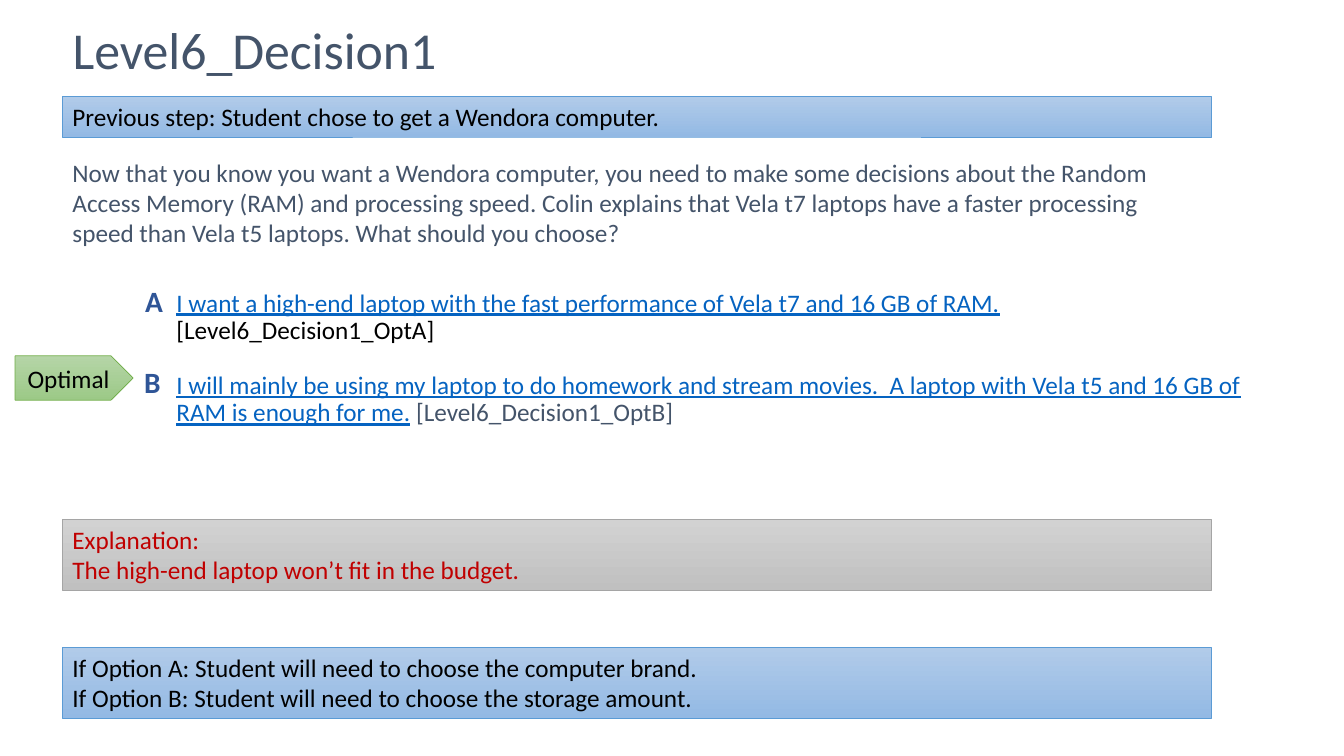
from dataclasses import dataclass

from lxml import etree
from pptx import Presentation
from pptx.dml.color import RGBColor
from pptx.enum.shapes import MSO_SHAPE
from pptx.enum.text import MSO_ANCHOR, MSO_AUTO_SIZE, PP_ALIGN
from pptx.oxml.ns import qn
from pptx.util import Inches, Pt

RECT, TAG = MSO_SHAPE.RECTANGLE, MSO_SHAPE.PENTAGON
TOP, MID = MSO_ANCHOR.TOP, MSO_ANCHOR.MIDDLE
LEFT, MIDDLE = PP_ALIGN.LEFT, PP_ALIGN.CENTER
FIXED = MSO_AUTO_SIZE.NONE


@dataclass(frozen=True)
class Theme:
    font: str = "Calibri"
    title: int = 37
    body: int = 18
    mark: int = 21
    slate: str = "44546A"
    black: str = "000000"
    link: str = "0563C1"
    navy: str = "2F5597"
    red: str = "C00000"
    blue: tuple = ("B1CBE9", "93B9E4", "5B9BD5")
    gray: tuple = ("D2D2D2", "C0C0C0", "A5A5A5")
    green: tuple = ("B5D5A7", "9CC987", "70AD47")


theme = Theme()


def write(shape, paras, size=theme.body, color=theme.black, bold=False,
          align=LEFT, anchor=TOP, line=1.0, gap=0, indent=None):
    """Fill a shape; a paragraph is a string or a list of (text, color) runs."""
    frame = shape.text_frame
    frame.word_wrap = True
    frame.auto_size = FIXED
    frame.vertical_anchor = anchor
    for i, para in enumerate(paras):
        p = frame.add_paragraph() if i else frame.paragraphs[0]
        if indent is not None:
            props = p._p.get_or_add_pPr()
            props.set("marL", str(Inches(indent)))
            props.set("indent", "0")
            etree.SubElement(props, qn("a:buNone"))
        p.alignment = align
        p.line_spacing = line
        p.space_before = Pt(gap if i else 0)
        for text, tint in [(para, color)] if isinstance(para, str) else para:
            run = p.add_run()
            run.text = text
            font = run.font
            font.name, font.size, font.bold = theme.font, Pt(size), bold
            font.underline = tint == theme.link
            font.color.rgb = RGBColor.from_string(tint)


def panel(kind, box, tones):
    """Add a shape shaded from top to bottom; tones are start, end and line."""
    shape = slide.shapes.add_shape(kind, *map(Inches, box))
    shape.shadow.inherit = False
    shape.fill.gradient()
    shape.fill.gradient_angle = 270
    for stop, tone in zip(shape.fill.gradient_stops, tones):
        stop.color.rgb = RGBColor.from_string(tone)
    shape.line.color.rgb = RGBColor.from_string(tones[2])
    shape.line.width = Pt(0.5)
    return shape


deck = Presentation()
deck.slide_width, deck.slide_height = Inches(13.33), Inches(7.5)
slide = deck.slides.add_slide(deck.slide_layouts[1])
edge, wide = 0.62, 11.39

# Title and options
title, body = slide.shapes.title, slide.placeholders[1]
for holder, box in ((title, (edge, 0.21, wide, 0.62)),
                    (body, (1.53, 2.83, 10.92, 2.2))):
    holder.left, holder.top, holder.width, holder.height = map(Inches, box)
write(title, ["Level6_Decision1"], size=theme.title, color=theme.slate,
      anchor=MID, line=0.9)
write(body, [
    [("I want a high-end laptop with the fast performance of Vela t7 "
      "and 16 GB of RAM.", theme.link),
     (" [Level6_Decision1_OptA]", theme.black)],
    [("I will mainly be using my laptop to do homework and stream movies.  "
      "A laptop with Vela t5 and 16 GB of RAM is enough for me.", theme.link),
     (" [Level6_Decision1_OptB]", theme.slate)],
], line=0.9, gap=20, indent=0.12)

# Option letters and the tag of the best choice
tag = panel(TAG, (0.15, 3.53, 1.17, 0.44), theme.green)
write(tag, ["Optimal"], align=MIDDLE, anchor=MID)
for letter, left, top in (("A", 1.31, 2.74), ("B", 1.3, 3.54)):
    mark = slide.shapes.add_textbox(*map(Inches, (left, top, 0.7, 0.5)))
    frame = mark.text_frame
    frame.margin_left = frame.margin_right = Inches(0.13)
    frame.margin_top = frame.margin_bottom = Inches(0.07)
    write(mark, [letter], size=theme.mark, color=theme.navy, bold=True)

# Bars
bars = (
    (6.42, 0.71, theme.blue, theme.black,
     ["If Option A: Student will need to choose the computer brand.",
      "If Option B: Student will need to choose the storage amount."]),
    (5.15, 0.71, theme.gray, theme.red,
     ["Explanation:", "The high-end laptop won’t fit in the budget."]),
    (0.96, 0.4, theme.blue, theme.black,
     ["Previous step: Student chose to get a Wendora computer."]),
)
for top, high, tones, color, lines in bars:
    bar = panel(RECT, (edge, top, wide, high), tones)
    write(bar, lines, color=color)

# Question
ask = slide.shapes.add_textbox(*map(Inches, (edge, 1.51, wide, 1.31)))
write(ask, ["Now that you know you want a Wendora computer, you need to make "
            "some decisions about the Random Access Memory (RAM) and "
            "processing speed. Colin explains that Vela t7 laptops have a "
            "faster processing speed than Vela t5 laptops. What should you "
            "choose?"], color=theme.slate)

deck.save("out.pptx")
